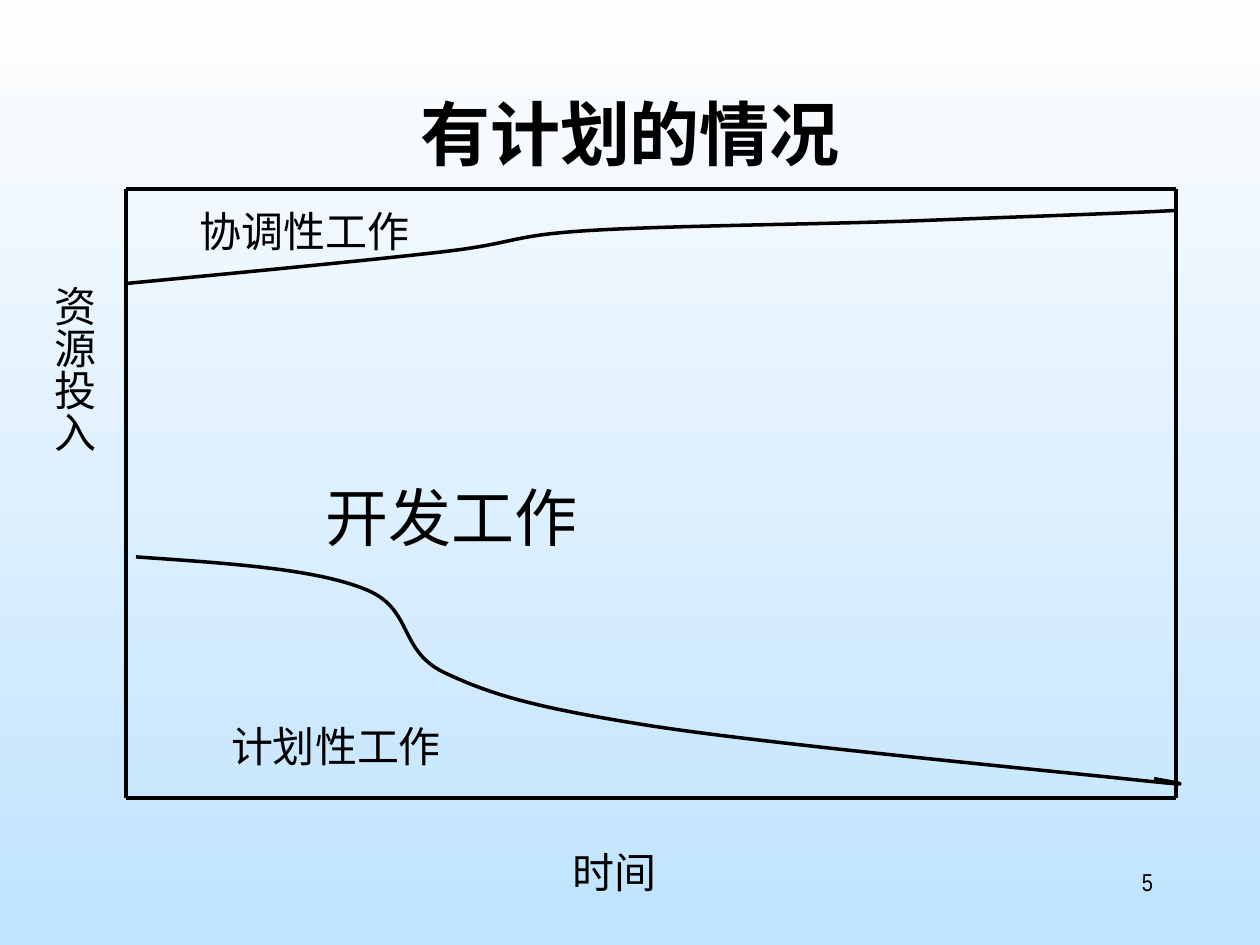
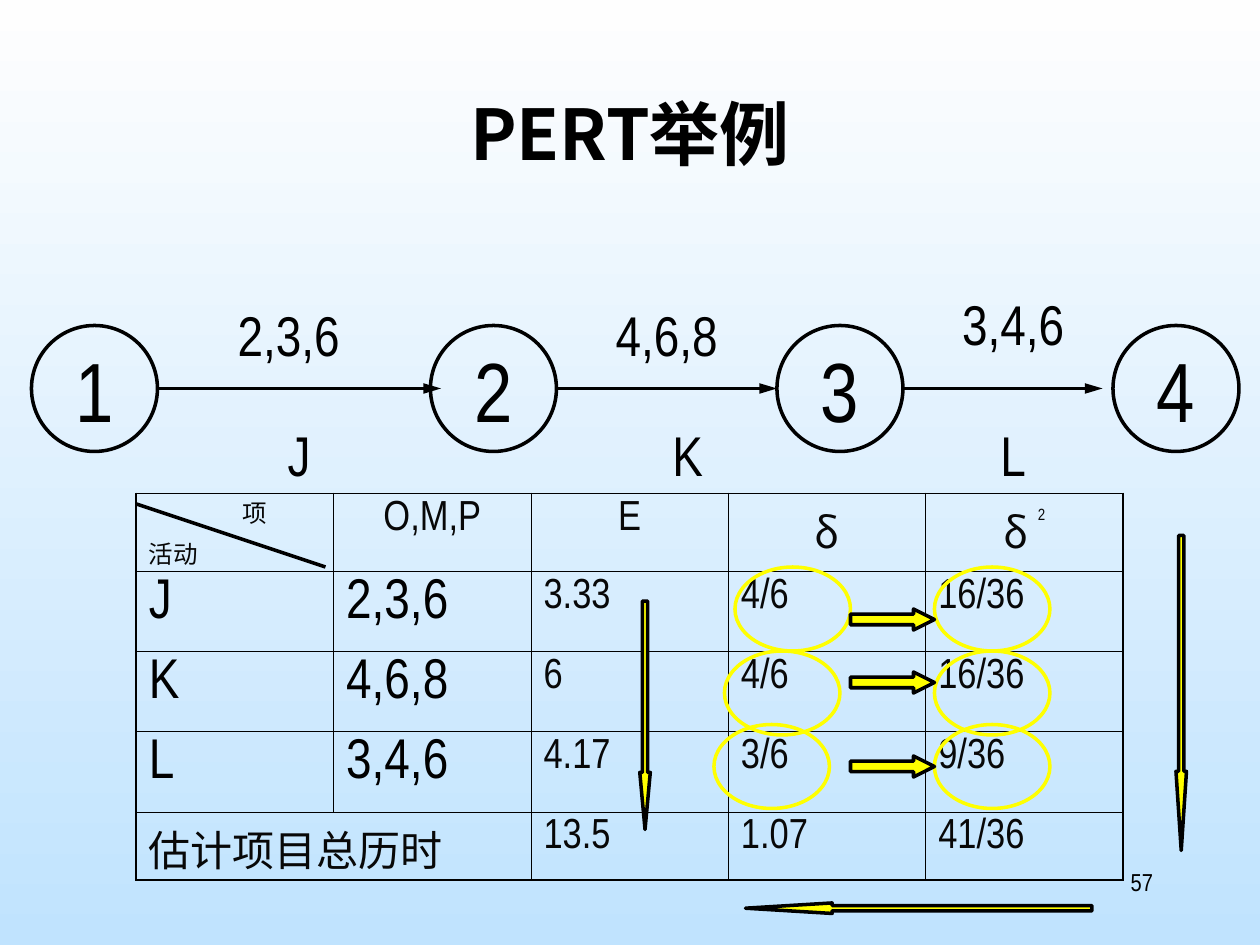
from lxml import etree
from pptx import Presentation
from pptx.dml.color import RGBColor
from pptx.enum.shapes import MSO_CONNECTOR, MSO_SHAPE
from pptx.enum.text import MSO_ANCHOR, PP_ALIGN
from pptx.oxml.ns import qn
from pptx.util import Pt

LEFT, CENTER, RIGHT = PP_ALIGN.LEFT, PP_ALIGN.CENTER, PP_ALIGN.RIGHT
TOP, MIDDLE = MSO_ANCHOR.TOP, MSO_ANCHOR.MIDDLE
OVAL = MSO_SHAPE.OVAL
DOWN, BACK, NEXT = MSO_SHAPE.DOWN_ARROW, MSO_SHAPE.LEFT_ARROW, MSO_SHAPE.RIGHT_ARROW
STRAIGHT = MSO_CONNECTOR.STRAIGHT

BLACK = RGBColor(0, 0, 0)
INK = RGBColor(8, 8, 8)
YELLOW = RGBColor(255, 255, 0)
WHITE = RGBColor(254, 254, 254)
SKY = RGBColor(192, 227, 254)
NARROW, SANS = "Arial Narrow", "Noto Sans CJK SC"

FRAME = (72, 108, 672, 456)
AREAS = [
    ("时间", (270, 480, 162, 36), 24),
    ("开发工作", (114, 270, 288, 50.4), 36),
    ("计划性工作", (96, 408, 192, 36), 24),
    ("协调性工作", (96, 114, 156, 36), 24),
]
CURVES = [
    [(1.08, 4.42),
     (1.78, 4.47), (2.47, 4.51), (2.88, 4.67),
     (3.29, 4.82), (3.15, 5.16), (3.53, 5.34),
     (3.91, 5.52), (4.27, 5.62), (5.16, 5.76),
     (6.06, 5.9), (8.25, 6.11), (8.92, 6.18),
     (9.58, 6.25), (9.37, 6.22), (9.16, 6.18)],
    [(1, 2.25),
     (1.94, 2.16), (2.89, 2.07), (3.5, 2),
     (4.11, 1.93), (4.03, 1.87), (4.67, 1.83),
     (5.31, 1.79), (6.56, 1.78), (7.33, 1.75),
     (8.11, 1.72), (9, 1.69), (9.33, 1.67)],
]

NODES = [("1", 18), ("2", 246), ("3", 444), ("4", 636)]
TASKS = [
    ("J", "2,3,6", (90, 252), (114, 168), (132, 236.2)),
    ("K", "4,6,8", (318, 444), (330, 168), (354, 236.2)),
    ("L", "3,4,6", (516, 630), (528, 161.8), (540, 236.2)),
]
HEADS = ["O,M,P", "E", "δ"]
RESULTS = [
    ("3.33", "4/6", "16/36"),
    ("6", "4/6", "16/36"),
    ("4.17", "3/6", "9/36"),
    ("13.5", "1.07", "41/36"),
]
HEIGHTS = [44.6, 45.8, 45.8, 45.8, 38.8]
COLUMN = 112.8
RINGS = [(420, 324), (414, 372), (408, 414)]
STEPS = [348, 384, 432]
FLOWS = [
    (DOWN, (672, 306, 6, 180), 7.52),
    (BACK, (426, 516, 198, 6), 8.24),
    (DOWN, (365.6, 343.5, 6, 130.5), 5.42),
]


def write(frame, text, size=24, font=NARROW, color=BLACK, bold=False,
          align=CENTER, first=True, before=0):
    par = frame.paragraphs[0] if first else frame.add_paragraph()
    par.alignment = align
    par.space_before = Pt(before)
    return style(par, text, size, font, color, bold)


def style(par, text, size, font, color, bold=False):
    run = par.add_run()
    run.text = text
    run.font.size = Pt(size)
    run.font.name = font
    run.font.bold = bold
    run.font.color.rgb = color
    props = run.font._element
    etree.SubElement(props, qn("a:ea")).set("typeface", SANS)
    return par


def label(slide, text, box, anchor=MIDDLE, **form):
    frame = slide.shapes.add_textbox(*map(Pt, box)).text_frame
    frame.word_wrap = True
    frame.vertical_anchor = anchor
    write(frame, text, **form)
    return frame


def outline(shape, color=BLACK, fill=None):
    shape.shadow.inherit = False
    shape.line.color.rgb = color
    shape.line.width = Pt(2)
    if fill is None:
        shape.fill.background()
    else:
        shape.fill.solid()
        shape.fill.fore_color.rgb = fill
    return shape


def draw(slide, kind, box, color=BLACK, fill=None, head=None):
    shape = outline(slide.shapes.add_shape(kind, *map(Pt, box)), color, fill)
    if head:
        shape.adjustments[0] = 0.5
        shape.adjustments[1] = head
    return shape


def line(slide, *ends, arrow=False):
    link = slide.shapes.add_connector(STRAIGHT, *map(Pt, ends))
    link.line.color.rgb = BLACK
    link.line.width = Pt(2)
    if arrow:
        tail = etree.SubElement(link.line._get_or_add_ln(), qn("a:tailEnd"))
        tail.set("type", "triangle")
        tail.set("len", "lg")
    etree.SubElement(link._element.spPr, qn("a:effectLst"))


def bend(slide, knots):
    start, *rest = [(x * 7200, y * 7200) for x, y in knots]
    build = slide.shapes.build_freeform(*start, scale=Pt(1) / 100)
    build.add_line_segments(rest, close=False)
    shape = outline(build.convert_to_shape())
    legs = list(shape._element.iter(qn("a:lnTo")))
    for at in range(0, len(legs), 3):
        curve = etree.Element(qn("a:cubicBezTo"))
        legs[at].addprevious(curve)
        for leg in legs[at:at + 3]:
            curve.append(leg[0])
            leg.getparent().remove(leg)


def border(cell, row, col):
    sides = [("L", col == 0), ("R", col == 4), ("T", row == 0), ("B", row == 4)]
    props = cell._tc.get_or_add_tcPr()
    for side, outer in sides:
        edge = etree.SubElement(props, qn("a:ln" + side))
        edge.set("w", str(Pt(1.08 if outer else 0.45)))
        fill = etree.SubElement(edge, qn("a:solidFill"))
        etree.SubElement(fill, qn("a:srgbClr")).set("val", str(BLACK))
    cell.fill.background()


def grid(slide):
    table = slide.shapes.add_table(
        5, 5, Pt(77.8), Pt(282), Pt(COLUMN * 5), Pt(sum(HEIGHTS))).table
    table.first_row = table.horz_banding = False
    for col in table.columns:
        col.width = Pt(COLUMN)
    for row, height in enumerate(HEIGHTS):
        table.rows[row].height = Pt(height)
        for col in range(5):
            cell = table.cell(row, col)
            border(cell, row, col)
            cell.margin_bottom = 0
    table.cell(4, 0).merge(table.cell(4, 1))

    corner = table.cell(0, 0)
    corner.margin_top = 0
    par = write(corner.text_frame, "项", size=14, color=INK, align=LEFT)
    par._p.get_or_add_pPr().set("marL", str(Pt(53.5)))
    write(corner.text_frame, "活动", size=14, color=INK, align=LEFT,
          first=False, before=3.5)
    for col, text in enumerate(HEADS, 1):
        write(table.cell(0, col).text_frame, text, color=INK,
              font=SANS if text == "δ" else NARROW)
    par = write(table.cell(0, 4).text_frame, "δ ", font=SANS, color=INK)
    style(par, "2", 16, NARROW, INK)
    par.runs[1].font._element.set("baseline", "100000")

    for row, (name, times, *rest) in enumerate(TASKS, 1):
        for col, text in enumerate((name, times)):
            write(table.cell(row, col).text_frame, text, size=32, align=LEFT)
    write(table.cell(4, 0).text_frame, "估计项目总历时", color=INK, align=LEFT)
    for row, values in enumerate(RESULTS, 1):
        for col, text in enumerate(values, 2):
            write(table.cell(row, col).text_frame, text, color=INK, align=LEFT)


def page(deck, title, number):
    slide = deck.slides.add_slide(deck.slide_layouts[6])
    label(slide, title, (54, 48, 612, 90), anchor=TOP, size=40,
          font=SANS, bold=True)
    label(slide, number, (516, 492, 150, 36), anchor=TOP, size=14, align=RIGHT)
    return slide


def effort(deck):
    slide = page(deck, "有计划的情况", "5")
    left, top, right, base = FRAME
    for ends in ((left, base, right, base), (left, base, left, top),
                 (left, top, right, top), (right, top, right, base)):
        line(slide, *ends)
    for text, box, size in AREAS:
        label(slide, text, box, size=size)
    frame = label(slide, "资源投入", (17.5, 156, 43, 234), anchor=TOP)
    frame._txBody.bodyPr.set("vert", "eaVert")
    frame.margin_left = frame.margin_right = Pt(3.6)
    frame.margin_top = frame.margin_bottom = Pt(7.2)
    for knots in CURVES:
        bend(slide, knots)


def pert(deck):
    slide = page(deck, "PERT举例", "57")
    for text, x in NODES:
        frame = draw(slide, OVAL, (x, 186, 72, 72)).text_frame
        frame.word_wrap = False
        frame.vertical_anchor = MIDDLE
        write(frame, text, size=48)
    for name, times, (start, end), above, below in TASKS:
        line(slide, start, 222, end, 222, arrow=True)
        label(slide, times, (*above, 102, 46), size=32)
        label(slide, name, (*below, 78, 46), size=32)
    grid(slide)
    line(slide, 78, 288, 186, 324)
    for (x, y), step in zip(RINGS, STEPS):
        for ring in (x, 534):
            draw(slide, OVAL, (ring, y, 66, 48), color=YELLOW)
        draw(slide, NEXT, (486, step, 48, 12), fill=YELLOW, head=1)
    for kind, box, head in FLOWS:
        draw(slide, kind, box, fill=YELLOW, head=head)


def main():
    deck = Presentation()
    deck.slide_width, deck.slide_height = Pt(720), Pt(540)
    fill = deck.slide_master.background.fill
    fill.gradient()
    fill.gradient_angle = 270
    for stop, color in zip(fill.gradient_stops, (WHITE, SKY)):
        stop.color.rgb = color
    effort(deck)
    pert(deck)
    deck.save("out.pptx")


if __name__ == "__main__":
    main()
